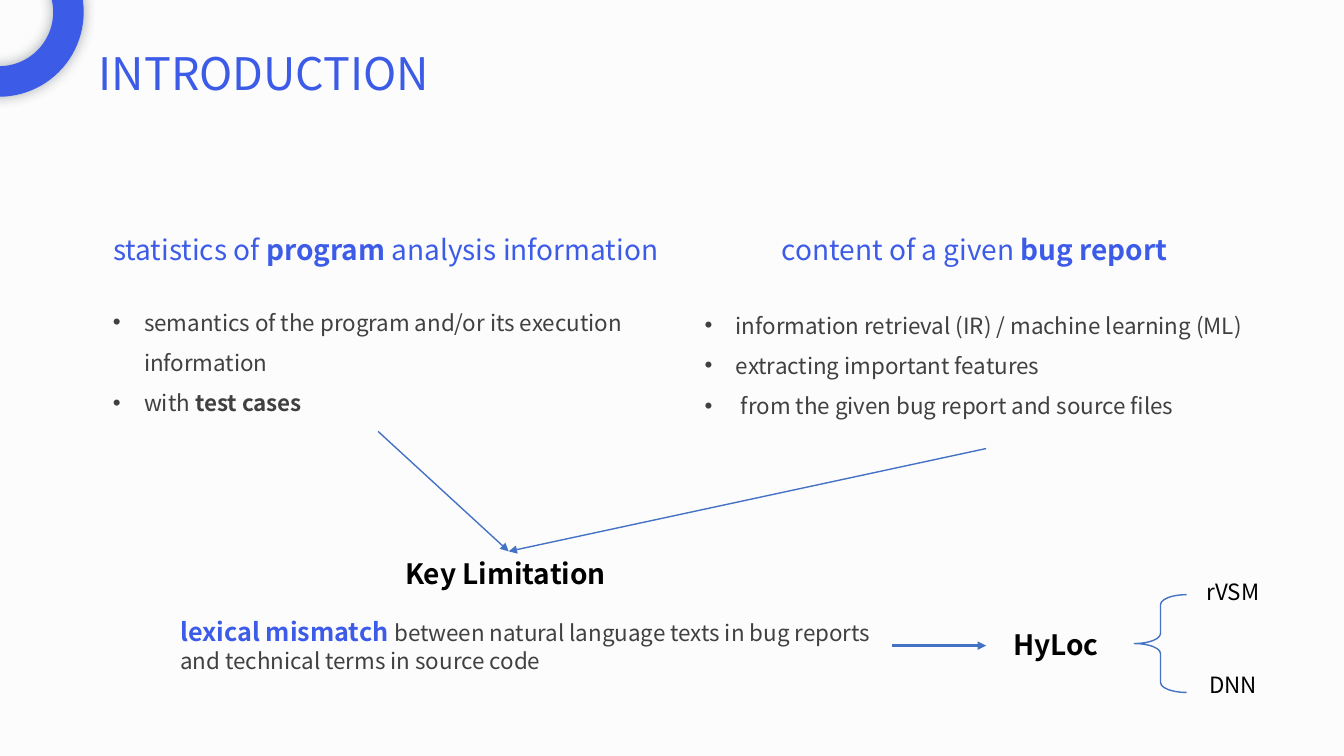
import pptx
import pptx.dml.color
import pptx.enum.shapes
import pptx.enum.text
import pptx.oxml
import pptx.oxml.ns
import pptx.util
from lxml import etree

Inches = pptx.util.Inches
Pt = pptx.util.Pt
SHAPE = pptx.enum.shapes.MSO_SHAPE
ALIGN = pptx.enum.text.PP_ALIGN
qn = pptx.oxml.ns.qn

COLORS = {
    "background": "FCFCFC",
    "accent": "3C5CE8",
    "line": "4472C4",
    "body": "404040",
    "black": "000000",
    "shadow": "222A35",
}
FONT = "Noto Sans CJK SC"


def rgb(name):
    return pptx.dml.color.RGBColor.from_string(COLORS[name])


def add_run(paragraph, text, size=16, color="body", bold=False):
    run = paragraph.add_run()
    run.text = text
    run.font.name = FONT
    run.font.size = Pt(size)
    run.font.bold = bold
    run.font.color.rgb = rgb(color)


class SlideBuilder:
    def __init__(self, presentation):
        self.slide = presentation.slides.add_slide(presentation.slide_layouts[6])
        self.slide.background.fill.solid()
        self.slide.background.fill.fore_color.rgb = rgb("background")

    def text(self, box, paragraphs, align=ALIGN.LEFT, bullets=False, **style):
        textbox = self.slide.shapes.add_textbox(*map(Inches, box))
        frame = textbox.text_frame
        frame.word_wrap = True
        for index, parts in enumerate(paragraphs):
            paragraph = frame.add_paragraph() if index else frame.paragraphs[0]
            paragraph.alignment = align
            if bullets:
                self.bullet(paragraph)
            for text, changes in parts:
                add_run(paragraph, text, **{**style, **changes})
        return textbox

    def bullet(self, paragraph):
        paragraph.line_spacing = 1.5
        properties = paragraph._p.get_or_add_pPr()
        properties.set("marL", str(Inches(0.31)))
        properties.set("indent", str(-Inches(0.31)))
        etree.SubElement(properties, qn("a:buFont"), typeface="Arial")
        etree.SubElement(properties, qn("a:buChar"), char="•")

    def arrow(self, start, end, width=1):
        connector = self.slide.shapes.add_connector(
            pptx.enum.shapes.MSO_CONNECTOR.STRAIGHT, *map(Inches, start + end))
        connector.line.color.rgb = rgb("line")
        connector.line.width = Pt(width)
        etree.SubElement(connector.line._get_or_add_ln(), qn("a:tailEnd"), type="triangle")
        etree.SubElement(connector._element.spPr, qn("a:effectLst"))
        return connector

    def ring(self, box, thickness):
        ring = self.slide.shapes.add_shape(SHAPE.DONUT, *map(Inches, box))
        ring.adjustments[0] = thickness
        ring.fill.solid()
        ring.fill.fore_color.rgb = rgb("accent")
        ring.line.fill.background()
        ring.shadow.inherit = False
        effects = ring._element.spPr.find(qn("a:effectLst"))
        glow = etree.SubElement(effects, qn("a:outerShdw"), blurRad=str(Pt(10)),
                                dist="0", dir="0", algn="ctr", rotWithShape="0")
        tint = etree.SubElement(glow, qn("a:srgbClr"), val=COLORS["shadow"])
        etree.SubElement(tint, qn("a:alpha"), val="40000")

    def brace(self, box, curl, tip):
        brace = self.slide.shapes.add_shape(SHAPE.LEFT_BRACE, *map(Inches, box))
        brace.adjustments[0] = curl
        brace.adjustments[1] = tip
        brace.fill.background()
        brace.line.color.rgb = rgb("line")
        brace.line.width = Pt(1)
        brace.shadow.inherit = False


def main():
    presentation = pptx.Presentation()
    presentation.slide_width = Inches(13.33)
    presentation.slide_height = Inches(7.5)
    builder = SlideBuilder(presentation)
    bold = {"bold": True}

    builder.ring((-0.85, -0.72, 1.68, 1.68), 0.18)
    builder.text((0.88, 0.4, 4.62, 0.64), [[("INTRODUCTION", {})]],
                 size=32, color="accent")

    builder.text((0.83, 2.26, 5.8, 0.33),
                 [[("statistics of ", {}), ("program", bold), (" analysis information", {})]],
                 align=ALIGN.RIGHT, size=20, color="accent")
    builder.text((1.02, 2.88, 5.45, 1.75),
                 [[("semantics of the program and/or its execution information", {})],
                  [("with ", {}), ("test cases", bold)]],
                 bullets=True)

    builder.text((7.42, 2.26, 4.26, 0.51),
                 [[("content of a given ", {}), ("bug report", bold)]],
                 align=ALIGN.RIGHT, size=20, color="accent")
    report_points = builder.text(
        (6.89, 2.91, 5.78, 1.54),
        [[("information retrieval (IR) / machine learning (ML)", {})],
         [("extracting important features", {})],
         [(" from the given bug report and source files", {})]],
        bullets=True)

    key_limitation = builder.text((3.75, 5.47, 2.59, 0.44), [[("Key Limitation ", {})]],
                                  align=ALIGN.CENTER, size=20, color="black", bold=True)
    mismatch = builder.text(
        (1.69, 6.07, 7.16, 0.67),
        [[("lexical mismatch ", {"size": 18, "color": "accent", "bold": True}),
          ("between natural language texts in bug reports and technical terms in source code",
           {})]])
    hyloc = builder.text((9.78, 6.18, 1.45, 0.45), [[("HyLoc ", {})]],
                         align=ALIGN.CENTER, size=20, color="black", bold=True)

    from_program = builder.arrow((3.75, 4.28), (5.05, 5.47))
    from_program.end_connect(key_limitation, 0)
    from_report = builder.arrow((9.78, 4.45), (5.05, 5.47))
    from_report.begin_connect(report_points, 2)
    from_report.end_connect(key_limitation, 0)
    to_hyloc = builder.arrow((8.85, 6.41), (9.78, 6.4), width=2)
    to_hyloc.begin_connect(mismatch, 3)
    to_hyloc.end_connect(hyloc, 1)

    builder.brace((11.25, 5.9, 0.52, 0.97), 0.19, 0.5)
    for index, model in enumerate(("rVSM", "DNN")):
        builder.text((11.77, 5.69 + 0.92 * index, 0.92, 0.37), [[(model, {})]],
                     align=ALIGN.CENTER, color="black")

    presentation.save("out.pptx")


if __name__ == "__main__":
    main()
